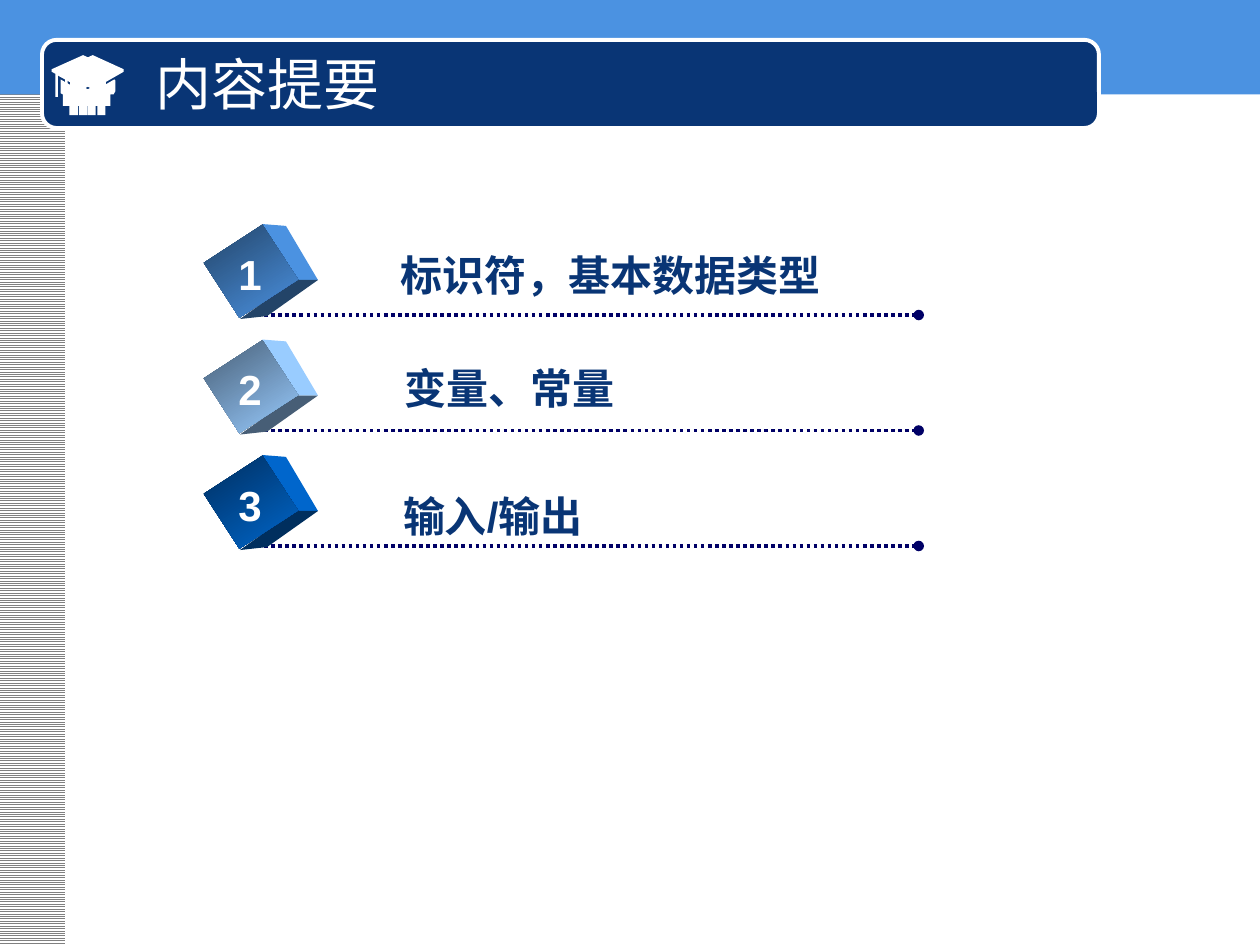
from lxml import etree
from pptx import Presentation
from pptx.dml.color import RGBColor
from pptx.enum.dml import MSO_LINE, MSO_PATTERN
from pptx.enum.shapes import MSO_CONNECTOR, MSO_SHAPE
from pptx.enum.text import MSO_ANCHOR, PP_ALIGN
from pptx.oxml.ns import qn
from pptx.util import Pt

WHITE = RGBColor(0xFF, 0xFF, 0xFF)
GRAY = RGBColor(0x80, 0x80, 0x80)
SKY = RGBColor(0x4B, 0x92, 0xE1)
NAVY = RGBColor(0x09, 0x35, 0x75)
RULE = RGBColor(0x00, 0x00, 0x66)

prs = Presentation()
prs.slide_width, prs.slide_height = Pt(720), Pt(540)
slide = prs.slides.add_slide(prs.slide_layouts[6])
shapes = slide.shapes


def add_polygon(points, color, dx=0, dy=0):
    """Draw a closed, filled outline through points, shifted by dx and dy."""
    corners = [(Pt(x + dx), Pt(y + dy)) for x, y in points]
    builder = shapes.build_freeform(*corners[0])
    builder.add_line_segments(corners[1:], close=True)
    polygon = builder.convert_to_shape()
    polygon.shadow.inherit = False
    polygon.fill.solid()
    polygon.fill.fore_color.rgb = color
    polygon.line.fill.background()


def add_label(text, left, top, width, height, size, font, color, bold):
    """Add a one-line text box and return it."""
    label = shapes.add_textbox(Pt(left), Pt(top), Pt(width), Pt(height))
    frame = label.text_frame
    frame.text = text
    frame.word_wrap = True
    frame.vertical_anchor = MSO_ANCHOR.MIDDLE
    run = frame.paragraphs[0].runs[0]
    run.font.size, run.font.name, run.font.bold = Pt(size), font, bold
    run.font.color.rgb = color
    return label


# Page frame: striped margin, top band, title bar
margin = shapes.add_shape(MSO_SHAPE.RECTANGLE, Pt(-0.7), 0, Pt(38), Pt(540))
margin.fill.patterned()
margin.fill.pattern = MSO_PATTERN.LIGHT_HORIZONTAL
margin.fill.fore_color.rgb = GRAY
margin.fill.back_color.rgb = WHITE
band = shapes.add_shape(MSO_SHAPE.RECTANGLE, 0, 0, Pt(720), Pt(54))
title_bar = shapes.add_shape(
    MSO_SHAPE.ROUNDED_RECTANGLE, Pt(24), Pt(22.8), Pt(604), Pt(50.4))
for part, color in ((band, SKY), (title_bar, NAVY)):
    part.fill.solid()
    part.fill.fore_color.rgb = color
for part in (margin, band, title_bar):
    part.shadow.inherit = False
    part.line.fill.background()
title_bar.line.color.rgb = WHITE
title_bar.line.width = Pt(2.25)

# Graduation cap, set twice with a small sideways shift
cap_board = [(29.5, 41), (31.7, 42.2), (31.7, 55.4), (33.1, 55.4), (33.1, 43.2),
             (47.5, 51.1), (65.2, 41), (65.2, 39.6), (47.5, 31.5), (29.5, 39.6)]
cap_body = [(34.6, 45.4), (47.5, 52.6), (59.8, 45.4), (60.5, 46.1), (60.5, 52),
            (59.4, 54), (57.6, 54), (57.6, 60.5), (54.7, 60.5), (54.7, 65.8),
            (50.2, 65.8), (50.2, 60.5), (44.6, 60.5), (44.6, 65.8),
            (39.6, 65.8), (39.6, 60.5), (36, 60.5), (36, 54), (34.6, 53.3)]
for shift in (0, 5.5):
    add_polygon(cap_board, WHITE, shift)
    add_polygon(cap_body, WHITE, shift)

title = add_label("内容提要", 82, 25.2, 536, 44.6, 32, "Noto Sans CJK SC", WHITE, False)
title_font = title.text_frame.paragraphs[0].runs[0].font
etree.SubElement(title_font._element, qn("a:ea")).set("typeface", "Noto Sans CJK SC")

# Numbered topics: light and dark cube colours, text, text left and top
topics = [
    ("4B92E1", "234468", "标识符，基本数据类型", 221.8, 139),
    ("99CCFF", "475E76", "变量、常量", 224, 203.8),
    ("0066CC", "002F5E", "输入/输出", 223.2, 276.5),
]
STEP = 66
cube_right = [(149.7, 128), (163.4, 129.1), (181.7, 160), (168.6, 160)]
cube_bottom = [(168.6, 160), (181.7, 160), (152.6, 180.6), (137.1, 182.3)]

for index, (light, dark, topic, topic_left, topic_top) in enumerate(topics):
    drop = index * STEP
    light, dark = RGBColor.from_string(light), RGBColor.from_string(dark)

    rule = shapes.add_connector(
        MSO_CONNECTOR.STRAIGHT, Pt(147), Pt(180 + drop), Pt(525), Pt(180 + drop))
    rule.line.color.rgb = RULE
    rule.line.width = Pt(2)
    rule.line.dash_style = MSO_LINE.ROUND_DOT
    etree.SubElement(rule.line._get_or_add_ln(), qn("a:tailEnd")).set("type", "oval")
    etree.SubElement(rule._element.spPr, qn("a:effectLst"))

    add_polygon(cube_right, light, dy=drop)
    add_polygon(cube_bottom, dark, dy=drop)
    cube_front = shapes.add_shape(
        MSO_SHAPE.RECTANGLE, Pt(124.7), Pt(135 + drop), Pt(37.4), Pt(40))
    cube_front.rotation = 57
    cube_front.shadow.inherit = False
    cube_front.line.fill.background()
    cube_front.fill.gradient()
    cube_front.fill.gradient_angle = 0
    for stop, color, position in zip(cube_front.fill.gradient_stops, (dark, light), (0, 1)):
        stop.color.rgb = color
        stop.position = position

    number = add_label(str(index + 1), 128.9, 138.2 + drop, 28, 36, 24, "Arial", WHITE, True)
    number.text_frame.word_wrap = False
    number.text_frame.paragraphs[0].alignment = PP_ALIGN.CENTER
    add_label(topic, topic_left, topic_top, 300, 36, 24, "Arial", NAVY, True)

prs.save("out.pptx")
